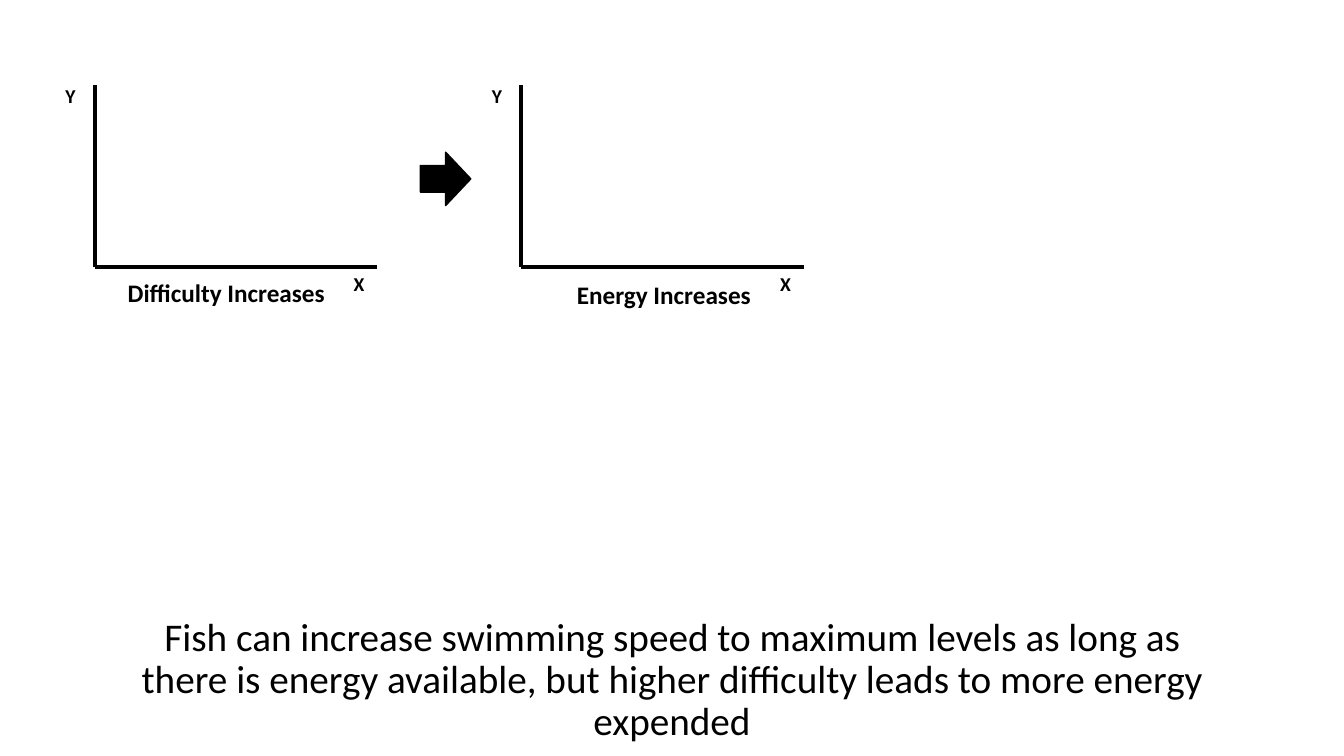
from pptx import Presentation
from pptx.dml.color import RGBColor
from pptx.enum.shapes import MSO_CONNECTOR as Link, MSO_SHAPE as Shape
from pptx.enum.text import MSO_ANCHOR as Anchor, PP_ALIGN as Align
from pptx.oxml.ns import qn
from pptx.util import Inches, Pt
from lxml import etree

COLS, ROWS = 133.3, 75
BLACK = "000000"


def color(code):
    return RGBColor.from_string(code)


class Board:
    """One slide on a grid of COLS by ROWS cells, drawn in one font and ink."""

    def __init__(self, deck, font="Calibri", ink=BLACK):
        self.slide = deck.slides.add_slide(deck.slide_layouts[6])
        self.col = deck.slide_width / COLS
        self.row = deck.slide_height / ROWS
        self.font, self.ink = font, color(ink)

    def place(self, x, y):
        return round(x * self.col), round(y * self.row)

    def text(self, words, box, size, bold=True, align=Align.CENTER,
             anchor=Anchor.TOP, space=None, host=None):
        x, y, wide, high = box
        shapes = (host or self.slide).shapes
        frame = shapes.add_textbox(
            *self.place(x, y), *self.place(wide, high)).text_frame
        frame.word_wrap = True
        frame.vertical_anchor = anchor
        frame.text = words
        para = frame.paragraphs[0]
        para.alignment = align
        para.line_spacing = space
        font = para.runs[0].font
        font.name, font.size, font.bold = self.font, Pt(size), bold
        font.color.rgb = self.ink

    def line(self, start, end, host):
        link = host.shapes.add_connector(
            Link.STRAIGHT, *self.place(*start), *self.place(*end))
        link.line.color.rgb = self.ink
        link.line.width = Pt(3)
        etree.SubElement(link._element.spPr, qn("a:effectLst"))

    def arrow(self, x, y, wide, high):
        shape = self.slide.shapes.add_shape(
            Shape.RIGHT_ARROW, *self.place(x, y), *self.place(wide, high))
        shape.shadow.inherit = False
        shape.fill.solid()
        shape.fill.fore_color.rgb = self.ink
        shape.line.color.rgb = self.ink
        shape.line.width = Pt(1)

    def axes(self, x, y, wide, high):
        """Draw a lettered pair of axes whose corner is at x, y."""
        group = self.slide.shapes.add_group_shape()
        self.line((x, y), (x, y - high), group)
        self.line((x, y), (x + wide, y), group)
        for name, left, top in (("X", x + 24.7, y), ("Y", x - 3.9, y - 18.7)):
            self.text(name, (left, top, 6.5, 4.5), 14,
                      align=Align.LEFT, host=group)


def main():
    deck = Presentation()
    deck.slide_width, deck.slide_height = Inches(13.33), Inches(7.5)
    board = Board(deck)

    board.text("Fish can increase swimming speed to maximum levels as long as "
               "there is energy available, but higher difficulty leads to "
               "more energy expended", (11.2, 60.3, 110.9, 14.5), 28,
               bold=False, anchor=Anchor.MIDDLE, space=0.9)

    plots = (("Difficulty Increases", 0.8, 27), ("Energy Increases", 44.2, 27.2))
    for index, (label, left, top) in enumerate(plots):
        board.axes(9.4 + 42.3 * index, 26.5, 28, 18.1)
        board.text(label, (left, top, 43.3, 4), 18)
    board.arrow(41.7, 15.1, 5, 5.3)

    deck.save("out.pptx")


if __name__ == "__main__":
    main()
